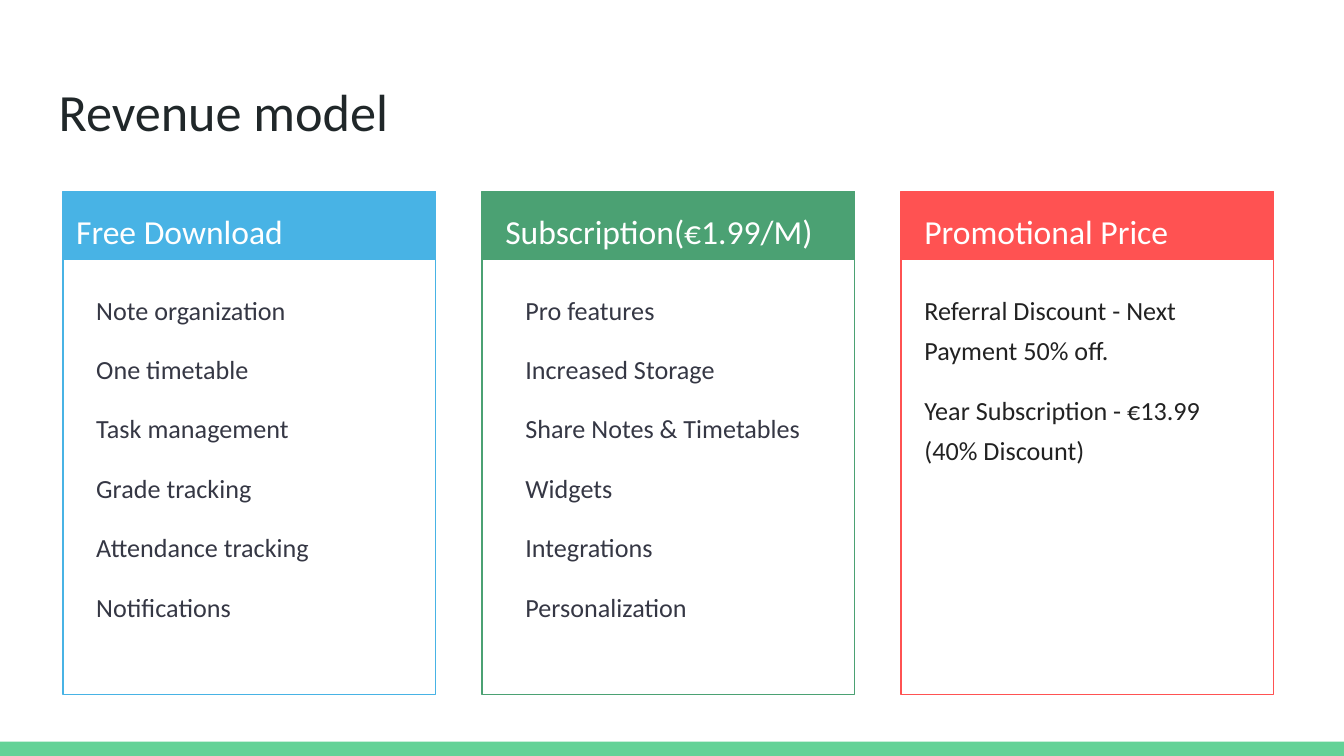
"""Build the revenue model slide with its three pricing cards."""
from dataclasses import dataclass

from pptx import Presentation
from pptx.dml.color import RGBColor
from pptx.enum.shapes import MSO_SHAPE
from pptx.util import Cm, Pt


@dataclass(frozen=True)
class Theme:
    font: str = "Calibri"
    title_size: int = 28
    header_size: int = 18
    body_size: int = 14
    title: str = "202729"
    white: str = "FFFFFF"
    body: str = "353744"
    promo: str = "222222"
    bar: str = "63D297"
    blue: str = "48B3E5"
    green: str = "4BA173"
    red: str = "FF5252"


theme = Theme()


def add_rect(left, top, width, height, fill=None, line=None):
    s = slide.shapes.add_shape(MSO_SHAPE.RECTANGLE, Cm(left), Cm(top), Cm(width), Cm(height))
    s.shadow.inherit = False
    if fill:
        s.fill.solid()
        s.fill.fore_color.rgb = RGBColor.from_string(fill)
    else:
        s.fill.background()
    if line:
        s.line.color.rgb = RGBColor.from_string(line)
        s.line.width = Pt(0.75)
    else:
        s.line.fill.background()


def add_text(left, top, width, height, lines, size, color, spacing=1.0, indented=False):
    tf = slide.shapes.add_textbox(Cm(left), Cm(top), Cm(width), Cm(height)).text_frame
    tf.word_wrap = True
    tf.margin_left = tf.margin_right = tf.margin_top = tf.margin_bottom = Cm(0.25)
    tf.text = "\n".join(lines)
    for i, p in enumerate(tf.paragraphs):
        if indented:
            pPr = p._p.get_or_add_pPr()
            pPr.set("marL", str(Cm(1.27)))
            pPr.set("indent", str(Cm(-0.89)))
        p.line_spacing = spacing
        if i:
            p.space_before = Pt(10)
        for r in p.runs:
            r.font.name = theme.font
            r.font.size = Pt(size)
            r.font.color.rgb = RGBColor.from_string(color)


prs = Presentation()
prs.slide_width, prs.slide_height = Cm(25.4), Cm(14.29)
slide = prs.slides.add_slide(prs.slide_layouts[6])

add_rect(0, 14.02, 25.4, 0.27, fill=theme.bar)
add_text(0.86, 1.24, 23.67, 1.6, ["Revenue model"], theme.title_size, theme.title)

cards = [
    ("Free Download", theme.blue, theme.body, 0, True,
     ["Note organization", "One timetable", "Task management",
      "Grade tracking", "Attendance tracking", "Notifications"]),
    ("Subscription(€1.99/M)", theme.green, theme.body, 0.19, True,
     ["Pro features", "Increased Storage", "Share Notes & Timetables",
      "Widgets", "Integrations", "Personalization"]),
    ("Promotional Price", theme.red, theme.promo, 0.19, False,
     ["Referral Discount - Next Payment 50% off.",
      "Year Subscription - €13.99 (40% Discount)"]),
]
card_left, card_top, card_width, card_height = 1.19, 3.63, 7.04, 9.5
card_step, header_height = 7.92, 1.27

for i, (heading, accent, color, inset, indented, items) in enumerate(cards):
    left = card_left + i * card_step
    add_rect(left, card_top, card_width, card_height, line=accent)
    add_text(left + inset, 5.13, card_width - 2 * inset, 7.8, items,
             theme.body_size, color, 1.3, indented)
    add_rect(left, card_top, card_width, header_height, fill=accent, line=accent)
    add_text(left + inset, card_top, 6.65, header_height, [heading],
             theme.header_size, theme.white, 1.15)

prs.save("out.pptx")
